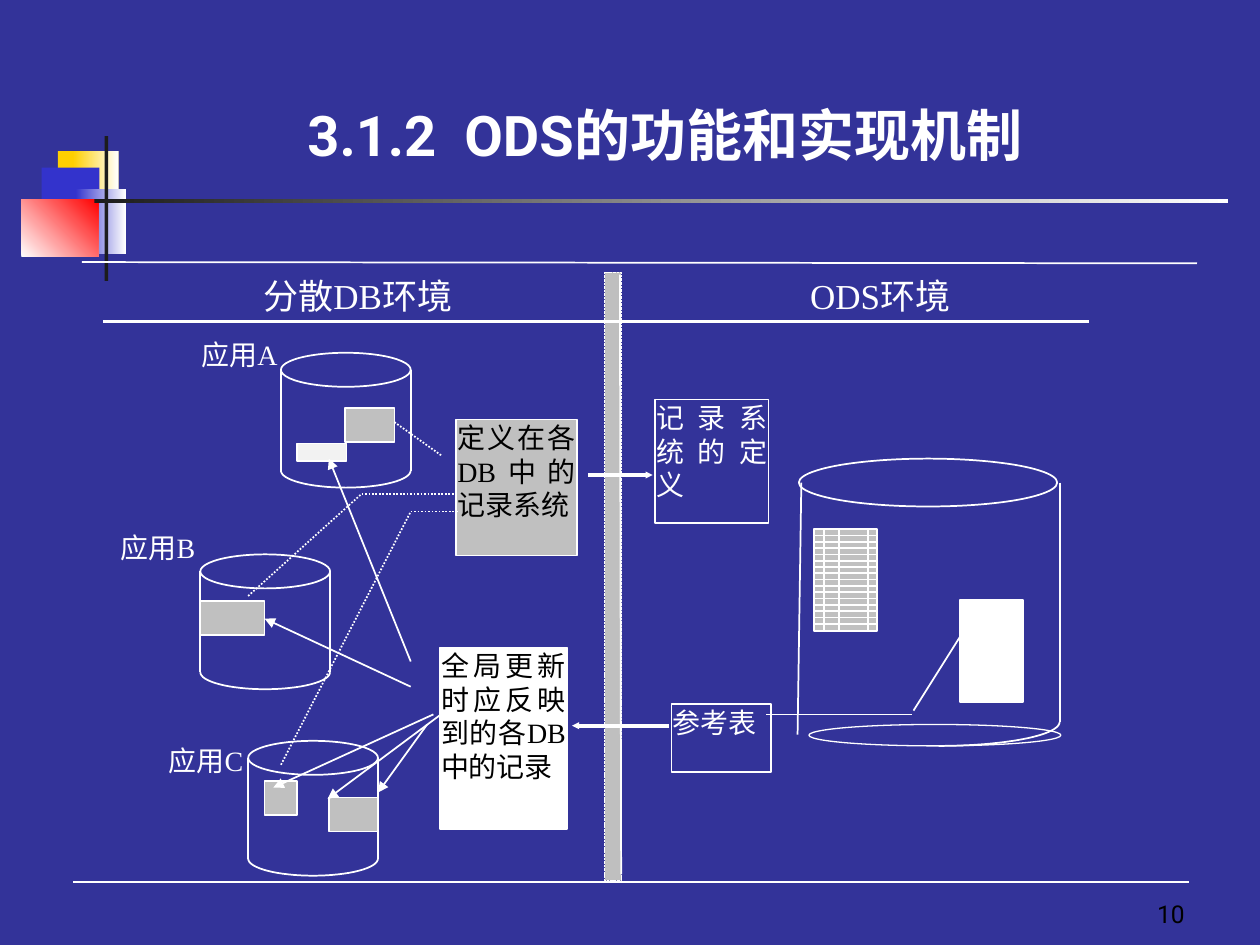
from math import cos, pi, sin
from lxml.etree import SubElement as Sub
from pptx import Presentation
from pptx.dml.color import RGBColor as RGB
from pptx.enum.dml import MSO_LINE as Dash
from pptx.enum.shapes import MSO_CONNECTOR as Conn, MSO_SHAPE as Kind
from pptx.enum.text import MSO_ANCHOR as Anchor, MSO_AUTO_SIZE as Auto, PP_ALIGN as Align
from pptx.oxml.ns import qn
from pptx.util import Inches, Pt

THEME = dict(
    back="333399", ink="FFFFFF", dark="000000", gray="C0C0C0", bar="BFBFBF", pale="F2F2F2",
    gold="FFCF01", blue="3333CC", red="FF0000", coal="1C1C1C",
    serif="Times New Roman", sans="Roboto", title=32, head=20, body=16, page=14,
    thin=1, thick=2, fine=0.75, hair=0.5,
)
TITLE = "3.1.2  ODS的功能和实现机制"
PAGE = "10"
DECOR = [
    ((0.46, 1.2, 0.48, 0.52), ("gold",), 0),
    ((0.58, 1.2, 0.36, 0.52), ("gold", "ink"), 0),
    ((0.33, 1.33, 0.46, 0.52), ("blue",), 0),
    ((0.6, 1.5, 0.4, 0.52), ("blue", "ink"), 0),
    ((0.17, 1.58, 0.61, 0.46), ("ink", "red"), 45),
    ((0.83, 1.08, 0.03, 1.15), ("coal",), 0),
    ((0.75, 1.58, 9, 0.03), ("coal", "ink"), 0),
]
LABELS = [
    ("应用A", (1.59, 2.67, 0.77, 0.4), "body"),
    ("应用B", (0.95, 4.2, 0.77, 0.4), "body"),
    ("应用C", (1.33, 5.89, 0.77, 0.4), "body"),
    ("分散DB环境", (2.08, 2.17, 2.25, 0.4), "head"),
    ("ODS环境", (6.42, 2.17, 1.54, 0.4), "head"),
]
NOTES = [
    ("记录系统的定义", (5.2, 3.17, 0.9, 0.98), "back", "ink"),
    ("参考表", (5.33, 5.59, 0.79, 0.54), "back", "ink"),
    ("定义在各DB中的记录系统", (3.62, 3.33, 0.96, 1.08), "gray", "dark"),
    ("全局更新时应反映到的各DB中的记录", (3.49, 5.14, 1.01, 1.44), "ink", "dark"),
]
DRUMS = [(2.23, 2.8), (1.59, 4.4), (1.97, 5.88)]
CELLS = [
    ((2.74, 3.24, 0.39, 0.27), "gray"),
    ((2.36, 3.52, 0.39, 0.14), "pale"),
    ((1.59, 4.77, 0.51, 0.27), "gray"),
    ((2.1, 6.2, 0.26, 0.27), "gray"),
    ((2.61, 6.33, 0.39, 0.27), "gray"),
]
GRIDS = [((7.62, 4.76), "ink"), ((6.46, 4.2), "gray")]
DOTS = [
    (3.13, 3.35, 3.51, 3.62),
    (1.97, 4.73, 2.87, 3.92), (2.87, 3.92, 3.64, 3.92),
    (2.23, 6.07, 3.26, 4.06), (3.26, 4.06, 3.64, 4.06),
]
ARROWS = [
    (3.26, 5.25, 2.61, 3.64), (3.26, 5.45, 2.1, 4.91), (3.44, 5.67, 2.17, 6.25),
    (3.5, 5.67, 2.6, 6.34), (3.39, 5.75, 3, 6.29),
]
FLOWS = [(4.67, 3.77, 5.18, 3.77), (5.31, 5.76, 4.54, 5.76)]
LINES = [
    (4.92, 2.18, 4.93, 6.94), (7.25, 5.64, 7.76, 4.83), (7.24, 5.67, 6.08, 5.67),
    (0.58, 7, 9.44, 7), (0.65, 2.08, 9.5, 2.09),
]
RULE = (0.82, 2.55, 8.64, 2.55)


def tint(name):
    return RGB.from_string(THEME[name])


def style(shape, fill=None, edge=None, width="thin"):
    shape.shadow.inherit = False
    if fill:
        shape.fill.solid()
        shape.fill.fore_color.rgb = tint(fill)
    else:
        shape.fill.background()
    if edge:
        shape.line.color.rgb = tint(edge)
        shape.line.width = Pt(THEME[width])
    else:
        shape.line.fill.background()
    return shape


def block(pane, box, fill=None, edge="ink", kind=Kind.RECTANGLE, width="thin"):
    return style(pane.add_shape(kind, *map(Inches, box)), fill, edge, width)


def wire(pane, ends, width="thin", dash=None, arrow=None):
    link = pane.add_connector(Conn.STRAIGHT, *map(Inches, ends))
    link.line.color.rgb = tint("ink")
    link.line.width = Pt(THEME[width])
    if dash:
        link.line.dash_style = dash
    props = link._element.spPr
    if arrow:
        Sub(props.find(qn("a:ln")), qn("a:tailEnd"), type="triangle", w=arrow, len=arrow)
    Sub(props, qn("a:effectLst"))


def write(shape, text, size, color, face="serif", align=Align.JUSTIFY, bold=False):
    shape.text_frame.text = text
    line = shape.text_frame.paragraphs[0]
    line.alignment = align
    font = line.runs[0].font
    font.name, font.size, font.bold = THEME[face], Pt(THEME[size]), bold
    font.color.rgb = tint(color)


def note(pane, text, box, size, fill, edge, color):
    shape = block(pane, box, fill, edge)
    write(shape, text, size, color)
    frame = shape.text_frame
    frame.word_wrap, frame.vertical_anchor = True, Anchor.TOP
    frame.margin_left = frame.margin_right = Inches(0.01)
    frame.margin_top = frame.margin_bottom = Inches(0.01)


def curve(pane, mid, top, wide, high, start):
    turns = [start + (pi - start) * n / 32 for n in range(33)]
    spots = [(Inches(mid - wide * cos(t)), Inches(top + high * sin(t))) for t in turns]
    if start:
        spots = [(Inches(2 * mid) - x, y) for x, y in spots]
        spots = [(Inches(2 * mid) - x, y) for x, y in spots]
    path = pane.build_freeform(*spots[0])
    path.add_line_segments(spots[1:], close=False)
    style(path.convert_to_shape(), None, "ink")


def drum(pane, left, top):
    wide, lid, wall = 1.03, 0.27, 0.8
    block(pane, (left, top, wide, lid), "back", kind=Kind.OVAL)
    rim = top + lid / 2
    for x in (left, left + wide):
        wire(pane, (x, rim, x, rim + wall))
    curve(pane, left + wide / 2, rim + wall, wide / 2, lid / 2, 0)


def grid(pane, left, top, fill):
    wide, high, step = 0.5, 0.81, 0.05
    block(pane, (left, top, wide, high), fill)
    for row in range(1, 16):
        y = top + row * step
        wire(pane, (left, y, left + wide, y))
    for gap in (0.08, 0.2, 0.43):
        wire(pane, (left + gap, top, left + gap, top + high))


def store(pane):
    block(pane, (6.34, 3.64, 2.05, 0.38), "back", kind=Kind.OVAL)
    wire(pane, (6.36, 3.83, 6.33, 5.83))
    wire(pane, (8.41, 3.83, 8.41, 5.73))
    curve(pane, 7.45, 5.73, 0.96, 0.19, pi / 2)
    block(pane, (6.42, 5.75, 2, 0.17), kind=Kind.OVAL, width="fine")


def main():
    """Build the slide on how an ODS works with scattered databases."""
    deck = Presentation()
    deck.slide_width, deck.slide_height = Inches(10), Inches(7.5)
    slide = deck.slides.add_slide(deck.slide_layouts[5])
    slide.background.fill.solid()
    slide.background.fill.fore_color.rgb = tint("back")
    pane = slide.shapes

    for box, hues, angle in DECOR:
        shape = block(pane, box, hues[0], None)
        if len(hues) > 1:
            shape.fill.gradient()
            shape.fill.gradient_angle = angle
            for stop, hue, place in zip(shape.fill.gradient_stops, hues, (0, 1)):
                stop.color.rgb, stop.position = tint(hue), place

    title = pane.title
    title.left, title.top, title.width, title.height = map(Inches, (2.34, 0.75, 6.15, 0.64))
    write(title, TITLE, "title", "ink", "sans", Align.LEFT, True)
    title.text_frame.word_wrap = False
    title.text_frame.auto_size = Auto.SHAPE_TO_FIT_TEXT
    title.text_frame.vertical_anchor = Anchor.TOP
    page = pane.add_textbox(*map(Inches, (7.42, 6.92, 2.08, 0.5)))
    write(page, PAGE, "page", "dark", "sans", Align.RIGHT)
    page.text_frame.word_wrap, page.text_frame.vertical_anchor = True, Anchor.BOTTOM

    wall = block(pane, (4.8, 2.16, 0.13, 4.83), "bar", width="hair")
    wall.line.dash_style = Dash.SQUARE_DOT
    for text, box, size in LABELS:
        note(pane, text, box, size, "back", "back", "ink")
    for spot in DRUMS:
        drum(pane, *spot)
    store(pane)
    for box, fill in CELLS:
        block(pane, box, fill)
    for spot, fill in GRIDS:
        grid(pane, *spot, fill)
    for text, box, fill, color in NOTES:
        note(pane, text, box, "body", fill, "ink", color)
    for ends in DOTS:
        wire(pane, ends, dash=Dash.ROUND_DOT)
    for ends in ARROWS:
        wire(pane, ends, arrow="med")
    for ends in FLOWS:
        wire(pane, ends, "thick", arrow="sm")
    for ends in LINES:
        wire(pane, ends)
    wire(pane, RULE, "thick")
    deck.save("out.pptx")


if __name__ == "__main__":
    main()
